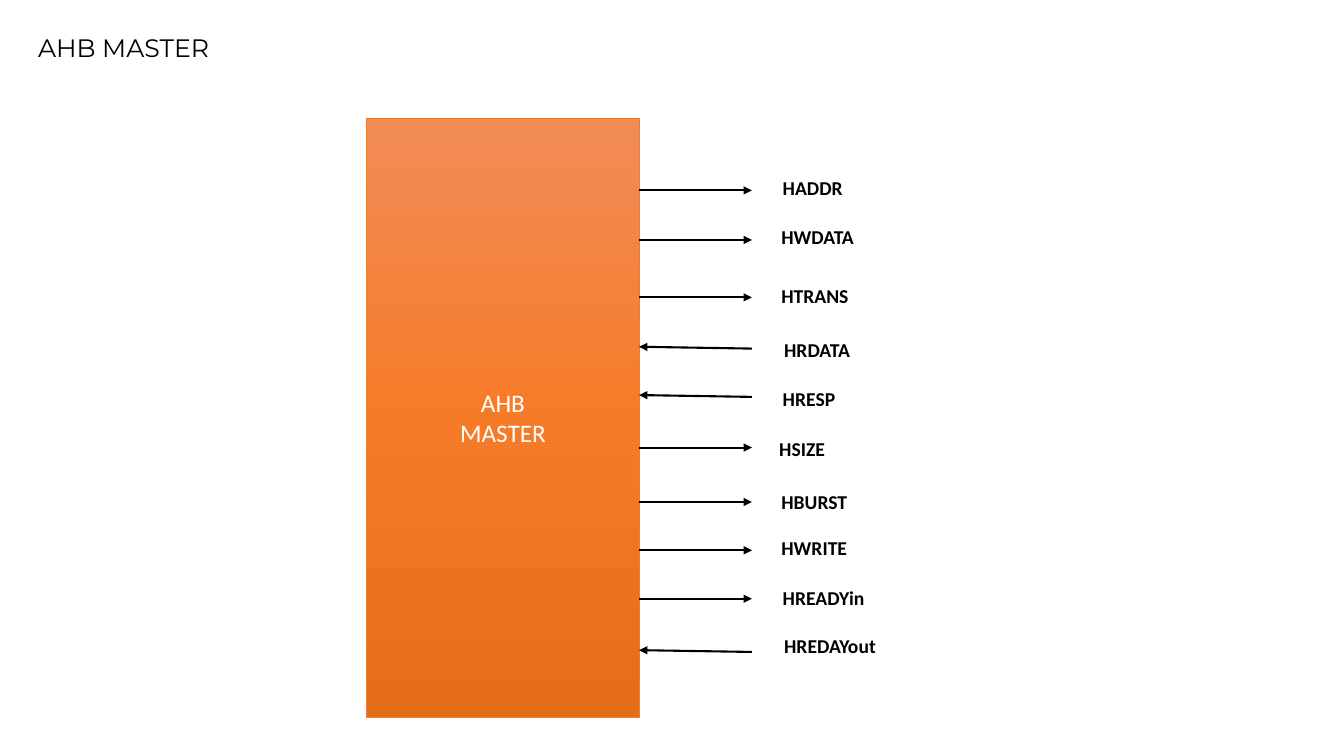
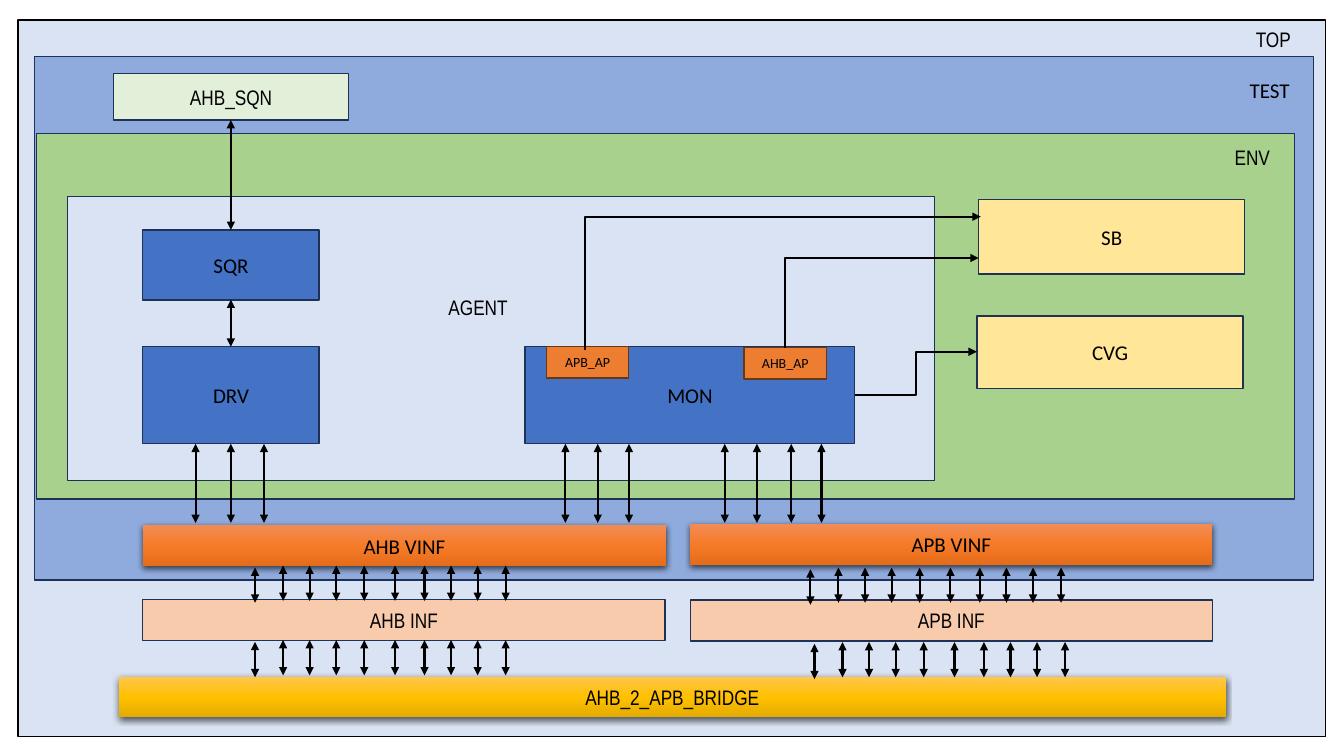
from copy import deepcopy

from lxml import etree
from pptx import Presentation
from pptx.dml.color import RGBColor
from pptx.enum import shapes, text
from pptx.oxml import ns
from pptx.util import Pt

# Shared style
COLORS = {
    "black": "000000", "white": "FFFFFF", "navy": "1E3256", "brown": "683715",
    "pale_blue": "DAE3F3", "mid_blue": "8FAADC", "blue": "4472C4",
    "green": "A9D18E", "pale_green": "E2F0D9", "yellow": "FFE699",
    "peach": "F8CBAD", "orange": "ED7D31",
}
GRADIENTS = {
    "orange_fade": ("F18C57", "F67B28", "E56C19"),
    "gold_fade": ("FFC64B", "FFC000", "E3AB00"),
}
NARROW, SANS, HEADING = "Arial Narrow", "Calibri", "Montserrat"

# Slide 1: name, label left, label top, arrow height, direction
MASTER_BOX = (262, 84.2, 194.5, 428.4)
SIGNALS = [
    ("HADDR", 552, 122.4, 136, "out"),
    ("HWDATA", 551, 157, 171.4, "out"),
    ("HTRANS", 551, 199.4, 212.4, "out"),
    ("HRDATA", 553, 237.6, 247.7, "in"),
    ("HRESP", 552, 272.9, 282.2, "in"),
    ("HSIZE", 549.5, 308.2, 319.7, "out"),
    ("HBURST", 551, 346.3, 358.6, "out"),
    ("HWRITE", 551, 379.4, 393.1, "out"),
    ("HREADYin", 552, 414.7, 427.7, "out"),
    ("HREDAYout", 553, 449.3, 464.4, "in"),
]
SIGNAL_LENGTH, INPUT_DROP = 80.6, 1.3

# Slide 2: text, font, size, (left, top, width, height), fill, line
BLOCKS = [
    ("", SANS, 15, (13, 14.4, 933.8, 511.9), "pale_blue", "black"),
    ("", SANS, 15, (24.5, 40.5, 913.7, 373.7), "mid_blue", "navy"),
    ("", SANS, 15, (26, 95.2, 898.6, 261.4), "green", "navy"),
    ("", SANS, 15, (48.2, 140.4, 619.2, 203), "pale_blue", "navy"),
    ("AHB_SQN", NARROW, 15, (81.2, 52.6, 167.8, 33.1), "pale_green", "navy"),
    ("SQR", SANS, 15, (102, 164.2, 126, 50), "blue", "navy"),
    ("DRV", SANS, 15, (102, 247.7, 126, 69), "blue", "navy"),
    ("MON", SANS, 15, (375.1, 247.7, 235.5, 69), "blue", "navy"),
    ("APB_AP", SANS, 10, (390.2, 247.7, 59, 22.3), "orange", "brown"),
    ("AHB_AP", SANS, 10, (531.4, 248.4, 59, 22.3), "orange", "brown"),
    ("SB", SANS, 15, (699.1, 142.6, 190, 53.3), "yellow", "navy"),
    ("CVG", SANS, 15, (697.9, 225.6, 190, 51.8), "yellow", "navy"),
    ("AHB VINF", SANS, 15, (102.2, 375.1, 373.5, 29.5), "orange_fade", None),
    ("APB VINF", SANS, 15, (493, 374, 373, 29.5), "orange_fade", None),
    ("AHB INF", NARROW, 15, (102, 428.4, 373, 29.2), "peach", "navy"),
    ("APB INF", NARROW, 15, (493, 428.6, 373, 29.2), "peach", "navy"),
    ("AHB_2_APB_BRIDGE", NARROW, 15, (85, 483.5, 790.5, 29), "gold_fade", None),
]
LAYER_NAMES = [
    ("TOP", NARROW, (889.9, 15.1, 48, 25)),
    ("TEST", SANS, (885.6, 51.8, 61, 25)),
    ("ENV", NARROW, (874.8, 99.4, 63, 25)),
    ("AGENT", NARROW, (313.2, 206.6, 63, 25)),
]
SEQUENCE_X = 164.9
SEQUENCE_SPANS = [(85.7, 164.2), (214, 247.7)]
VINF_ARROWS = [139.7, 164.9, 188.6, 403.9, 427, 449.3, 517.7, 540.7, 565.2, 586.8]
VINF_SPAN = (317, 373.5)
BUS_STARTS = [(182.2, 404), (578.9, 405.4), (182.2, 457.2), (581.8, 458.6)]
BUS_OFFSETS = [0, 20, 39, 58, 78, 100, 121, 140, 159, 179]
BUS_LENGTH, FIRST_DROP = 25.2, 1.3
# start, end, place of the bend along the way
ROUTES = [
    ((610.6, 282.2), (697.7, 251.3), 50000),
    ((560.9, 248.4), (699.1, 184.3), 0),
    ((418, 249.8), (700.6, 154.8), 0),
]


def rgb(name):
    return RGBColor.from_string(COLORS[name])


def points(values):
    return [Pt(value) for value in values]


def add_node(parent, tag, **attributes):
    return etree.SubElement(parent, ns.qn(tag), attributes)


def write(shape, lines, font, size, color="black", bold=False,
          align=text.PP_ALIGN.LEFT, anchor=text.MSO_ANCHOR.TOP):
    frame = shape.text_frame
    frame.word_wrap = True
    frame.vertical_anchor = anchor
    frame.text = lines
    font_format = {"name": font, "size": Pt(size), "bold": bold}
    for paragraph in frame.paragraphs:
        paragraph.alignment = align
        for run in paragraph.runs:
            for key, value in font_format.items():
                setattr(run.font, key, value)
            run.font.color.rgb = rgb(color)


def add_label(slide, label, font, size, box, bold=False):
    write(slide.shapes.add_textbox(*points(box)), label, font, size, bold=bold)


def fill_gradient(shape, colors):
    shape.fill.gradient()
    shape.fill.gradient_angle = 270
    stop_list = shape.element.xpath(".//a:gsLst")[0]
    stop_list.append(deepcopy(stop_list[0]))
    for index, (stop, color) in enumerate(zip(shape.fill.gradient_stops, colors)):
        stop.position = index / 2
        stop.color.rgb = RGBColor.from_string(color)


def add_shadow(shape):
    effects = shape.element.spPr.find(ns.qn("a:effectLst"))
    shadow = add_node(effects, "a:outerShdw", blurRad=str(Pt(4.5)),
                      dist=str(Pt(1.5)), dir="5400000", rotWithShape="0")
    color = add_node(shadow, "a:srgbClr", val=COLORS["black"])
    add_node(color, "a:alpha", val="63000")


def add_block(slide, label, font, size, box, fill, line,
              color="black", line_width=1):
    shape = slide.shapes.add_shape(shapes.MSO_SHAPE.RECTANGLE, *points(box))
    shape.shadow.inherit = False
    if fill in GRADIENTS:
        fill_gradient(shape, GRADIENTS[fill])
    else:
        shape.fill.solid()
        shape.fill.fore_color.rgb = rgb(fill)
    if line:
        shape.line.color.rgb = rgb(line)
        shape.line.width = Pt(line_width)
    else:
        shape.line.fill.background()
        add_shadow(shape)
    if label:
        write(shape, label, font, size, color, align=text.PP_ALIGN.CENTER,
              anchor=text.MSO_ANCHOR.MIDDLE)


def add_arrow(slide, start, end, both=False, bend=None):
    kind = shapes.MSO_CONNECTOR.STRAIGHT if bend is None else shapes.MSO_CONNECTOR.ELBOW
    arrow = slide.shapes.add_connector(kind, *points(start + end))
    arrow.line.color.rgb = rgb("black")
    arrow.line.width = Pt(1.5)
    properties = arrow.element.spPr
    line = properties.find(ns.qn("a:ln"))
    if both:
        add_node(line, "a:headEnd", type="triangle")
    add_node(line, "a:tailEnd", type="triangle")
    add_node(properties, "a:effectLst")
    if bend is not None:
        guides = properties.xpath("./a:prstGeom/a:avLst")[0]
        add_node(guides, "a:gd", name="adj1", fmla=f"val {bend}")


def build_master(presentation):
    slide = presentation.slides.add_slide(presentation.slide_layouts[5])
    title = slide.shapes.title
    for key, value in zip(("left", "top", "width", "height"),
                          points((20, 19.5, 484, 29))):
        setattr(title, key, value)
    write(title, "AHB MASTER", HEADING, 18)
    add_block(slide, "AHB\nMASTER", SANS, 18, MASTER_BOX, "orange_fade",
              "orange", color="white", line_width=0.5)
    edge = MASTER_BOX[0] + MASTER_BOX[2]
    for name, left, top, height, direction in SIGNALS:
        add_label(slide, name, SANS, 14, (left, top, 84, 26), bold=True)
        inner, outer = (edge, height), (edge + SIGNAL_LENGTH, height)
        if direction == "in":
            inner, outer = (outer[0], height + INPUT_DROP), inner
        add_arrow(slide, inner, outer)


def build_testbench(presentation):
    slide = presentation.slides.add_slide(presentation.slide_layouts[6])
    for block in BLOCKS:
        add_block(slide, *block)
    for name, font, box in LAYER_NAMES:
        add_label(slide, name, font, 15, box)

    # Two-way arrows
    spans = [(SEQUENCE_X, *span) for span in SEQUENCE_SPANS]
    spans += [(x, *VINF_SPAN) for x in VINF_ARROWS]
    for left, top in BUS_STARTS:
        for offset in BUS_OFFSETS:
            y = top if offset else top + FIRST_DROP
            spans.append((left + offset, y, y + BUS_LENGTH))
    for x, top, bottom in spans:
        add_arrow(slide, (x, top), (x, bottom), both=True)

    # Monitor outputs
    for start, end, bend in ROUTES:
        add_arrow(slide, start, end, bend=bend)


def main():
    presentation = Presentation()
    presentation.slide_width, presentation.slide_height = Pt(960), Pt(540)
    build_master(presentation)
    build_testbench(presentation)
    presentation.save("out.pptx")


if __name__ == "__main__":
    main()
